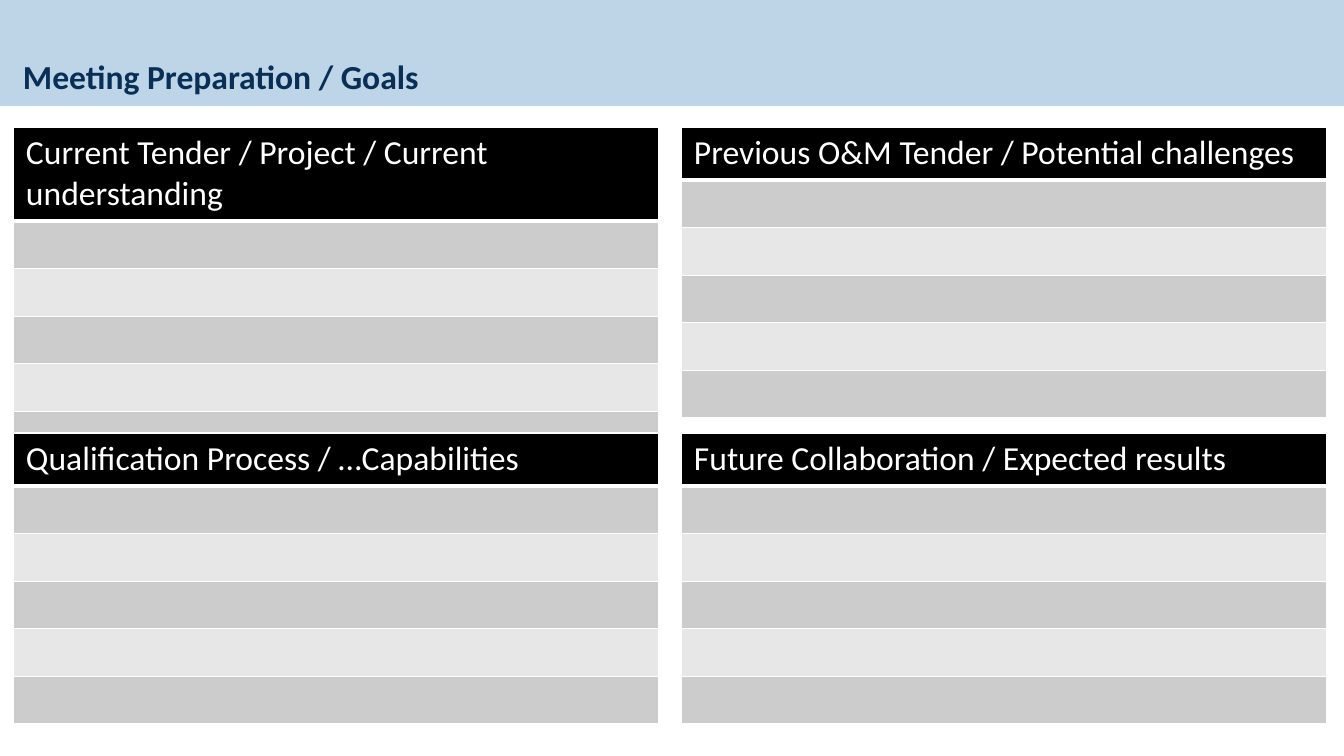
import lxml.etree
import pptx
import pptx.dml.color
import pptx.enum.shapes
import pptx.enum.text
import pptx.oxml.ns
import pptx.util

RGBColor = pptx.dml.color.RGBColor
BANNER_BLUE = RGBColor(0xBE, 0xD5, 0xE7)
TITLE_NAVY = RGBColor(0x09, 0x2F, 0x57)
BLACK = RGBColor(0x00, 0x00, 0x00)
WHITE = RGBColor(0xFF, 0xFF, 0xFF)
BAND_COLORS = (RGBColor(0xCC, 0xCC, 0xCC), RGBColor(0xE7, 0xE7, 0xE7))

EMU_PER_PIXEL = 914400 / 100.8
SLIDE_SIZE = (1344, 756)
PANEL_WIDTH = 646
HEADER_LINE = 41
BODY_HEIGHT = 238
BODY_ROWS = 5
LEFT_COLUMN, RIGHT_COLUMN = 13, 681
TOP_ROW, BOTTOM_ROW = 127, 433
PANELS = (
    ("Previous O&M Tender / Potential challenges", RIGHT_COLUMN, TOP_ROW, 1),
    ("Current Tender / Project / Current understanding", LEFT_COLUMN, TOP_ROW, 2),
    ("Qualification Process / …Capabilities", LEFT_COLUMN, BOTTOM_ROW, 1),
    ("Future Collaboration / Expected results", RIGHT_COLUMN, BOTTOM_ROW, 1),
)


def pixels(*lengths):
    return [pptx.util.Emu(round(length * EMU_PER_PIXEL)) for length in lengths]


class SlideBuilder:
    font_name = "Calibri"
    font_size = pptx.util.Pt(24)
    side_margin = 13
    vertical_margin = 6

    def __init__(self, slide):
        self.slide = slide

    def format_text(self, paragraph, color, bold=False):
        for run in paragraph.runs:
            run.font.name = self.font_name
            run.font.size = self.font_size
            run.font.bold = bold
            run.font.color.rgb = color

    def banner(self, left, top, width, height, color):
        shape = self.slide.shapes.add_shape(
            pptx.enum.shapes.MSO_SHAPE.RECTANGLE, *pixels(left, top, width, height))
        shape.shadow.inherit = False
        shape.fill.solid()
        shape.fill.fore_color.rgb = color
        shape.line.fill.background()

    def title(self, text, left, top, width, height):
        shape = self.slide.shapes.add_textbox(*pixels(left, top, width, height))
        text_frame = shape.text_frame
        text_frame.word_wrap = True
        text_frame.auto_size = pptx.enum.text.MSO_AUTO_SIZE.SHAPE_TO_FIT_TEXT
        text_frame.text = text
        paragraph = text_frame.paragraphs[0]
        paragraph.line_spacing = pptx.util.Pt(26.7)
        self.format_text(paragraph, TITLE_NAVY, bold=True)

    def style_cell(self, cell, color, bottom_width=1):
        properties = cell._tc.get_or_add_tcPr()
        widths = {"lnL": 1, "lnR": 1, "lnT": 1, "lnB": bottom_width}
        for side, width in widths.items():
            border = lxml.etree.SubElement(
                properties, pptx.oxml.ns.qn(f"a:{side}"), w=str(pptx.util.Pt(width)))
            fill = lxml.etree.SubElement(border, pptx.oxml.ns.qn("a:solidFill"))
            lxml.etree.SubElement(fill, pptx.oxml.ns.qn("a:srgbClr"), val=str(WHITE))
        cell.fill.solid()
        cell.fill.fore_color.rgb = color

    def panel(self, heading, left, top, heading_lines):
        header_height = heading_lines * HEADER_LINE + 2 * self.vertical_margin
        frame = self.slide.shapes.add_table(
            BODY_ROWS + 1, 1,
            *pixels(left, top, PANEL_WIDTH, header_height + BODY_HEIGHT))
        table = frame.table
        heights = pixels(header_height, *[BODY_HEIGHT / BODY_ROWS] * BODY_ROWS)
        for row, height in zip(table.rows, heights):
            row.height = height

        header = table.cell(0, 0)
        header.text_frame.text = heading
        header.vertical_anchor = pptx.enum.text.MSO_ANCHOR.MIDDLE
        header.margin_left, header.margin_right = pixels(*[self.side_margin] * 2)
        header.margin_top, header.margin_bottom = pixels(*[self.vertical_margin] * 2)
        self.format_text(header.text_frame.paragraphs[0], WHITE)
        self.style_cell(header, BLACK, bottom_width=3)
        for index in range(BODY_ROWS):
            self.style_cell(table.cell(index + 1, 0), BAND_COLORS[index % 2])


presentation = pptx.Presentation()
presentation.slide_width, presentation.slide_height = pixels(*SLIDE_SIZE)
builder = SlideBuilder(presentation.slides.add_slide(presentation.slide_layouts[6]))
builder.banner(0, 0, 1346, 106, BANNER_BLUE)
builder.title("Meeting Preparation / Goals", LEFT_COLUMN, 54, PANEL_WIDTH, 48)
for panel in PANELS:
    builder.panel(*panel)
presentation.save("out.pptx")
